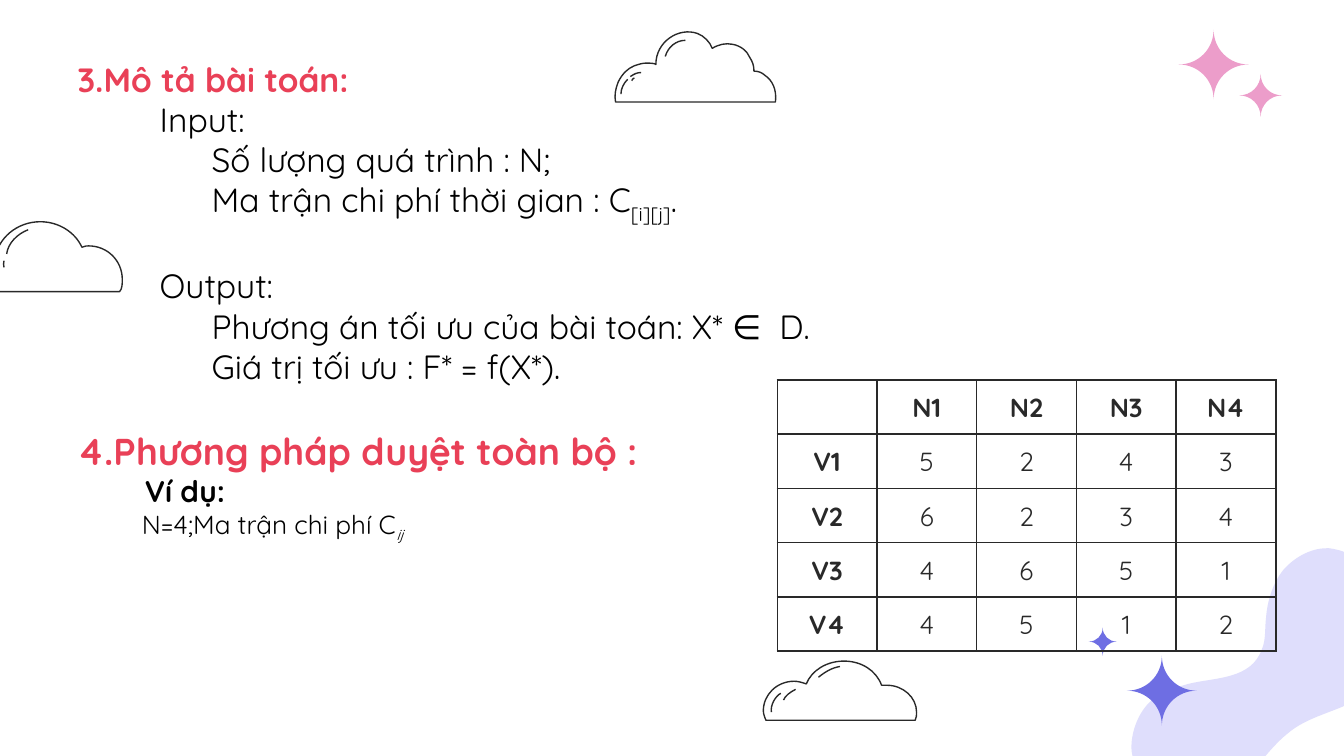
from lxml import etree
from pptx import Presentation
from pptx.dml.color import RGBColor
from pptx.enum.text import MSO_ANCHOR, MSO_AUTO_SIZE, PP_ALIGN
from pptx.oxml.ns import qn
from pptx.util import Cm, Pt

CENTER, MIDDLE = PP_ALIGN.CENTER, MSO_ANCHOR.MIDDLE
FIT_SHAPE = MSO_AUTO_SIZE.SHAPE_TO_FIT_TEXT
GRID = Cm(0.0254)  # unit of the drawn outlines


class Theme:
    font = "Quicksand"
    red, black, ink = "E94057", "000000", "292929"
    white, lilac, pink, violet = "FFFFFF", "DFDEFC", "EC9DCA", "6E6EE3"
    heading = {"size": Pt(18), "bold": True, "color": red}
    big_heading = {"size": Pt(20), "bold": True, "color": red}
    body = {"size": Pt(18), "bold": False, "color": black}
    label = {"size": Pt(16), "bold": True, "color": black}
    small = {"size": Pt(14), "bold": False, "color": black}
    table_head = {"size": Pt(14), "bold": True, "color": ink}
    table_body = {"size": Pt(14), "bold": False, "color": ink}


def draw_curve(start, curves, fill=None, line=None, close=True):
    """Draw cubic Bezier curves, given in grid units, as one freeform."""
    points = [(GRID * x, GRID * y) for c in curves for x, y in zip(c[::2], c[1::2])]
    fb = slide.shapes.build_freeform(GRID * start[0], GRID * start[1])
    fb.add_line_segments(points, close=close)
    sp = fb.convert_to_shape()
    path = next(sp._element.iter(qn("a:path")))
    segments = iter(path.findall(qn("a:lnTo")))
    for first, second, third in zip(segments, segments, segments):
        first.tag = qn("a:cubicBezTo")
        for segment in (second, third):
            first.append(segment[0])
            path.remove(segment)
    sp.shadow.inherit = False
    if fill:
        sp.fill.solid()
        sp.fill.fore_color.rgb = RGBColor.from_string(fill)
    else:
        sp.fill.background()
    if line:
        sp.line.color.rgb = RGBColor.from_string(line)
        sp.line.width = Pt(0.75)
    else:
        sp.line.fill.background()


def add_run(p, text, style, **extra):
    r = p.add_run()
    r.text = text
    r.font.name = Theme.font
    for name, value in {**style, **extra}.items():
        if name == "color":
            r.font.color.rgb = RGBColor.from_string(value)
        elif name == "baseline":
            r.font._element.set("baseline", str(value))
        else:
            setattr(r.font, name, value)


prs = Presentation()
prs.slide_width, prs.slide_height = Cm(25.4), Cm(14.29)
slide = prs.slides.add_slide(prs.slide_layouts[6])

# Corner blob
draw_curve((884, 599), [
    (896, 599, 908, 594, 918, 587), (933, 576, 943, 558, 958, 546),
    (973, 533, 994, 530, 1011, 520), (1026, 511, 1039, 500, 1044, 482),
    (1046, 473, 1046, 464, 1043, 455), (1038, 439, 1026, 425, 1012, 417),
    (1005, 412, 997, 409, 989, 408), (988, 408, 988, 408, 987, 408),
    (975, 408, 963, 415, 955, 424), (947, 434, 943, 447, 942, 460),
    (941, 468, 942, 476, 939, 483), (931, 506, 904, 504, 884, 509),
    (874, 512, 862, 515, 855, 523), (846, 532, 841, 547, 842, 559),
    (844, 572, 851, 585, 862, 592), (868, 597, 876, 599, 884, 599),
], fill=Theme.lilac)

# Four-pointed sparkles: centre, radius, colour
PULL = 0.44  # how far the sides bend towards the centre
for cx, cy, radius, color in [
    (903, 48, 26, Theme.pink), (938, 71, 16, Theme.pink),
    (864.5, 514, 26, Theme.violet), (820.5, 477.5, 10.5, Theme.violet),
]:
    tips = [(0, -radius), (-radius, 0), (0, radius), (radius, 0)]
    curves = [(cx + PULL * ax, cy + PULL * ay, cx + PULL * bx, cy + PULL * by, cx + bx, cy + by)
              for (ax, ay), (bx, by) in zip(tips, tips[1:] + tips[:1])]
    draw_curve((cx, cy - radius), curves, fill=color)

# Clouds: outline start, outline curves, highlight strokes
clouds = [
    ((577, 76), [
        (578, 67, 575, 60, 569, 56), (567, 54, 564, 53, 561, 53),
        (561, 49, 560, 46, 558, 43), (556, 38, 551, 34, 545, 33),
        (540, 32, 535, 33, 530, 36), (528, 31, 524, 27, 519, 25),
        (505, 20, 488, 31, 488, 48), (488, 47, 481, 47, 481, 47),
        (478, 47, 475, 48, 472, 49), (467, 51, 463, 55, 460, 61),
        (458, 66, 457, 71, 458, 76),
    ], [
        ((510, 30), (503, 30, 497, 35, 495, 42)),
        ((477, 54), (474, 54, 472, 55, 469, 57)),
        ((467, 59), (464, 62, 462, 66, 462, 70)),
        ((472, 58), (471, 58, 471, 59, 470, 60)),
    ]),
    ((89, 217), [
        (91, 215, 91, 211, 91, 208), (91, 194, 80, 183, 66, 183),
        (65, 183, 63, 183, 61, 184), (56, 173, 44, 165, 30, 165),
        (13, 165, -2, 177, -4, 194), (-4, 194, -4, 194, -5, 194),
        (-15, 194, -23, 203, -23, 213), (-23, 214, -23, 216, -22, 217),
    ], [
        ((21, 171), (13, 174, 6, 181, 5, 189)),
        ((3, 194), (3, 196, 2, 197, 3, 199)),
    ]),
    ((681, 536), [
        (682, 534, 682, 532, 682, 530), (682, 519, 672, 510, 660, 510),
        (659, 510, 658, 510, 656, 510), (652, 499, 641, 492, 628, 492),
        (615, 492, 604, 499, 600, 509), (597, 508, 594, 507, 591, 507),
        (578, 507, 568, 517, 568, 529), (568, 531, 569, 534, 570, 536),
    ], [
        ((625, 496), (619, 497, 614, 500, 609, 504)),
        ((581, 516), (577, 518, 573, 525, 574, 530)),
        ((592, 513), (588, 515, 584, 518, 583, 521)),
    ]),
]
for start, outline, strokes in clouds:
    draw_curve(start, outline, fill=Theme.white)
    draw_curve(start, outline, line=Theme.ink)
    for stroke_start, curve in strokes:
        draw_curve(stroke_start, [curve], line=Theme.ink, close=False)

# Text boxes: place, then paragraphs of indent, space before, style, runs
SUB = {"baseline": -25000}
text_boxes = [
    ((1.22, 0.98, 20.83, 6.4), [
        (0, 0, Theme.heading, [("3.Mô tả bài toán:", {})]),
        (1.55, 0, Theme.body, [("Input:", {})]),
        (2.53, 0, Theme.body, [("Số lượng quá trình : N;", {})]),
        (2.53, 0, Theme.body, [("Ma trận chi phí thời gian : C", {}), ("[i][j]", SUB), (".", {})]),
        (1.55, 21.5, Theme.body, [("Output:", {})]),
        (2.53, 0, Theme.body, [("Phương án tối ưu của bài toán: X* ∈  D.", {})]),
        (2.53, 0, Theme.body, [("Giá trị tối ưu : F* = f(X*).", {})]),
    ]),
    ((1.22, 7.96, 14.76, 2.79), [
        (0, 0, Theme.big_heading, [("4.Phương pháp duyệt toàn bộ :", {})]),
        (1.27, 0, Theme.label, [("Ví dụ:", {})]),
        (1.21, 0, Theme.small, [("N=4;Ma trận chi phí C", {}), ("ij", {"italic": True, **SUB})]),
    ]),
]
for place, paragraphs in text_boxes:
    tf = slide.shapes.add_textbox(*map(Cm, place)).text_frame
    tf.word_wrap = True
    tf.auto_size = FIT_SHAPE
    for i, (indent, before, style, runs) in enumerate(paragraphs):
        p = tf.add_paragraph() if i else tf.paragraphs[0]
        p.space_before = Pt(before)
        p._p.get_or_add_pPr().set("marL", str(Cm(indent)))
        for text, extra in runs:
            add_run(p, text, style, **extra)

# Cost matrix
costs = [[5, 2, 4, 3], [6, 2, 3, 4], [4, 6, 5, 1], [4, 5, 1, 2]]
rows = [["", "N1", "N2", "N3", "N4"]]
rows += [[f"V{i}", *values] for i, values in enumerate(costs, 1)]
width, height = Cm(9.42), Cm(5.13)
table = slide.shapes.add_table(5, 5, Cm(14.69), Cm(7.18), width, height).table
table.first_row = table.horz_banding = False
for i, values in enumerate(rows):
    table.rows[i].height = height // 5
    table.columns[i].width = width // 5
    for j, value in enumerate(values):
        cell = table.cell(i, j)
        cell.vertical_anchor = MIDDLE
        cell.margin_left = cell.margin_right = cell.margin_top = Cm(0.03)
        cell.margin_bottom = 0
        tcPr = cell._tc.get_or_add_tcPr()
        for side in ("lnL", "lnR", "lnT", "lnB"):
            ln = etree.SubElement(tcPr, qn(f"a:{side}"), w=str(Pt(1)))
            solid = etree.SubElement(ln, qn("a:solidFill"))
            etree.SubElement(solid, qn("a:srgbClr"), val=Theme.ink)
        cell.fill.background()
        p = cell.text_frame.paragraphs[0]
        p.alignment = CENTER
        if value != "":
            is_head = i == 0 or j == 0
            add_run(p, str(value), Theme.table_head if is_head else Theme.table_body)

prs.save("out.pptx")
